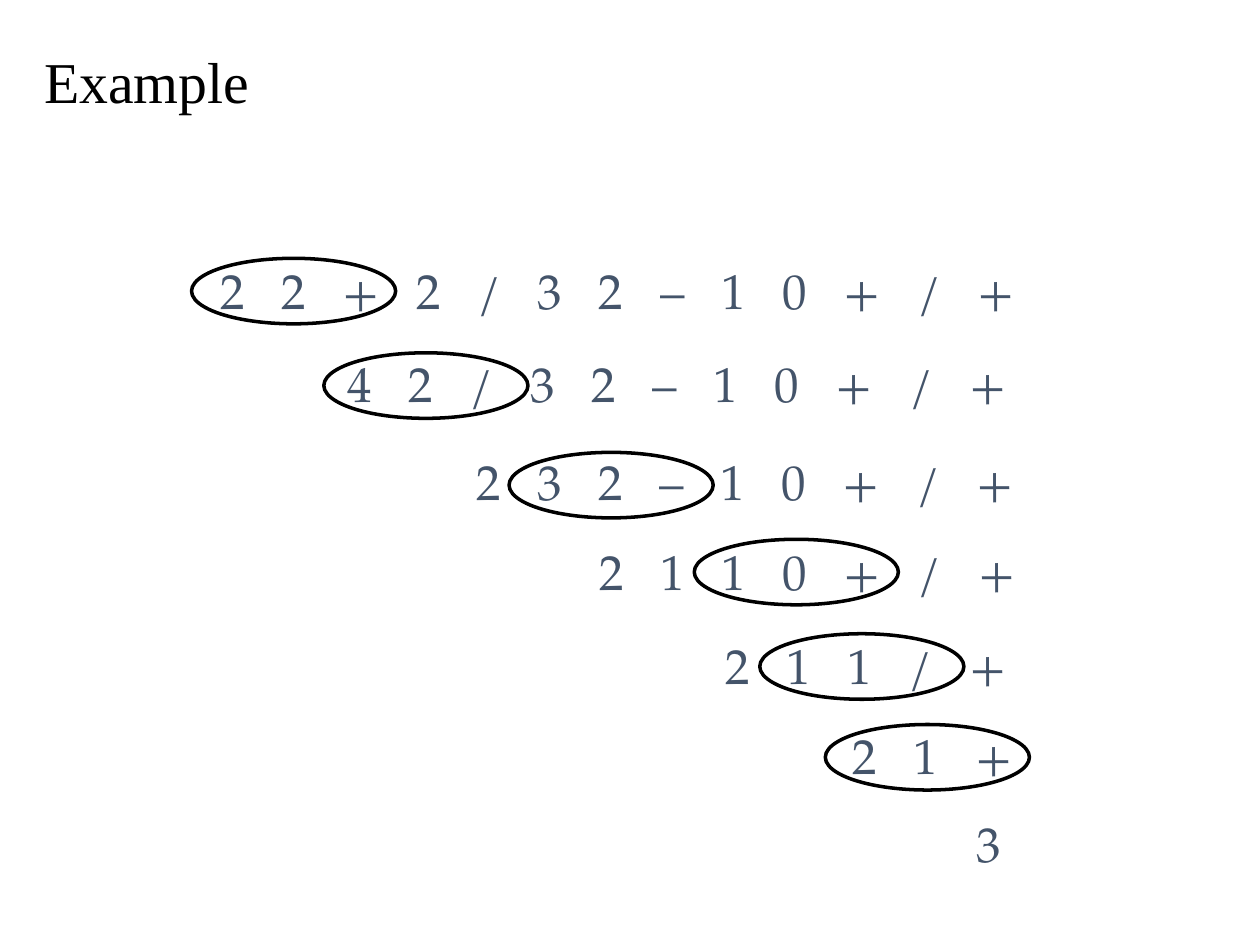
import pptx
import pptx.util
import pptx.dml.color
import pptx.enum.shapes
import pptx.enum.text

Inches = pptx.util.Inches
Pt = pptx.util.Pt
BLACK = pptx.dml.color.RGBColor(0x00, 0x00, 0x00)
SLATE = pptx.dml.color.RGBColor(0x44, 0x54, 0x6A)
ROW_H = Inches(0.52)
OVAL_W = Inches(1.62)
GAP = Pt(7)

prs = pptx.Presentation()
prs.slide_width = Inches(10)
prs.slide_height = Inches(7.5)
s = prs.slides.add_slide(prs.slide_layouts[5])


def style(tf, text, name, size, color):
    tf.word_wrap = True
    tf.text = text
    p = tf.paragraphs[0]
    p.alignment = pptx.enum.text.PP_ALIGN.LEFT
    p.line_spacing = 0.9
    p.space_before = Pt(0)
    r = p.runs[0]
    r.font.name = name
    r.font.size = Pt(size)
    r.font.color.rgb = color
    return r


title = s.shapes.title
title.left, title.top = Inches(0.25), Inches(0.17)
title.width, title.height = Inches(9.5), Inches(1)
title.text_frame.vertical_anchor = pptx.enum.text.MSO_ANCHOR.MIDDLE
style(title.text_frame, "Example", "Times New Roman", 33, BLACK)

steps = [
    ("2 2 + 2 / 3 2 – 1 0 + / +", 1.65, 2.07, 6.85),
    ("4 2 / 3 2 – 1 0 + / +", 2.66, 2.81, 5.8),
    ("2 3 2 – 1 0 + / +", 3.68, 3.59, 4.96),
    ("2 1 1 0 + / +", 4.66, 4.3, 3.99),
    ("2 1 1 / +", 5.66, 5.05, 2.92),
    ("2 1 +", 6.67, 5.76, 1.98),
    ("3", 7.65, 6.46, 0.67),
]
for text, left, top, width in steps:
    sp = s.shapes.add_textbox(Inches(left), Inches(top), Inches(width), ROW_H)
    r = style(sp.text_frame, text, "TeX Gyre Pagella", 28, SLATE)
    r.font._element.set("spc", str(int(GAP.pt * 100)))
    sp.text_frame.auto_size = pptx.enum.text.MSO_AUTO_SIZE.SHAPE_TO_FIT_TEXT

ovals = [(1.52, 2.05), (2.57, 2.8), (4.04, 3.59), (5.51, 4.28), (6.03, 5.03), (6.55, 5.75)]
for left, top in ovals:
    sp = s.shapes.add_shape(pptx.enum.shapes.MSO_SHAPE.OVAL, Inches(left), Inches(top), OVAL_W, ROW_H)
    sp.shadow.inherit = False
    sp.fill.background()
    sp.line.color.rgb = BLACK
    sp.line.width = Pt(2)

prs.save("out.pptx")
